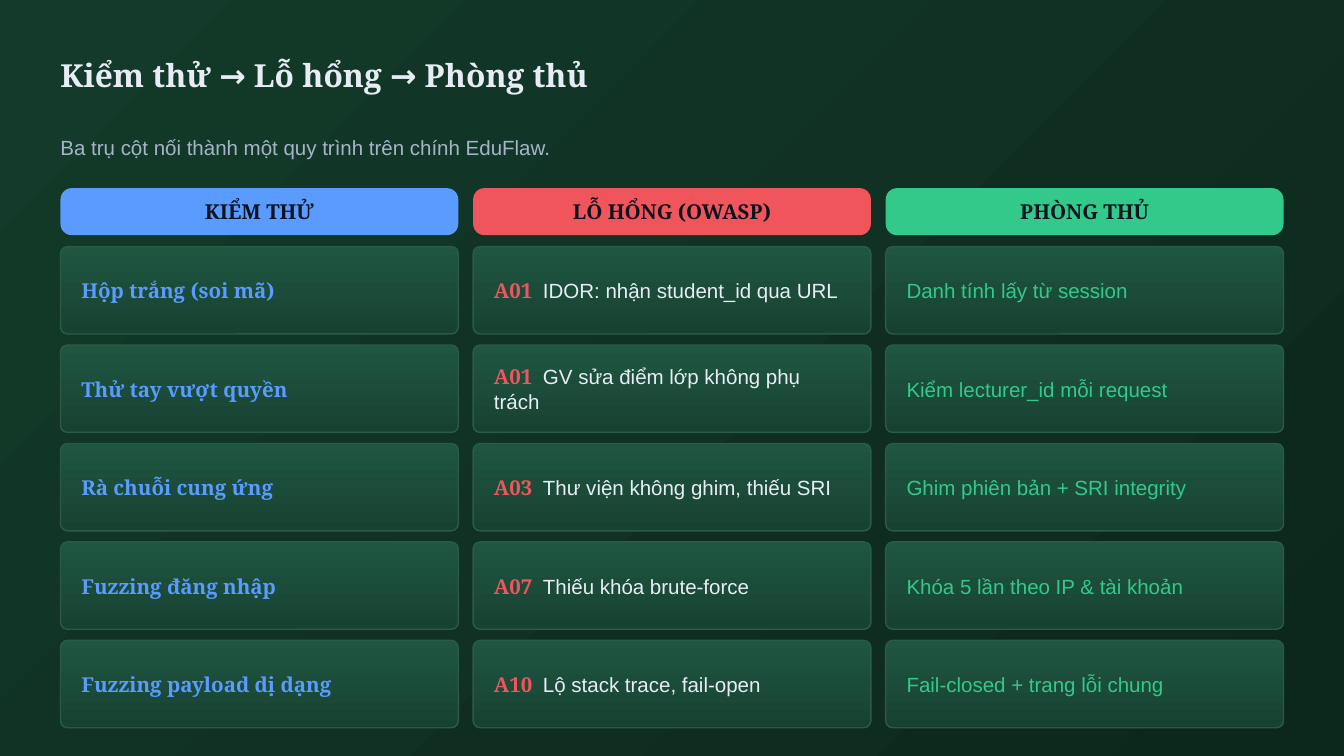
from dataclasses import dataclass
from typing import Any, Optional

from lxml.etree import SubElement
from pptx import Presentation
from pptx.dml.color import RGBColor
from pptx.dml.fill import FillFormat
from pptx.enum.shapes import MSO_SHAPE
from pptx.enum.text import MSO_ANCHOR, PP_ALIGN
from pptx.oxml.ns import qn
from pptx.slide import Slide
from pptx.util import Inches, Pt

COLORS = {
    "page_light": "133A2A",
    "page_dark": "0C271C",
    "card_light": "1F5641",
    "card_dark": "174232",
    "card_line": "2A5C44",
    "text": "E8EDF5",
    "muted": "A7B4C8",
    "ink": "0B1220",
    "blue": "5A9BFF",
    "red": "F0555B",
    "green": "33C98A",
}
SERIF = {"name": "Noto Serif", "size": Pt(22), "bold": True}
SANS = {"name": "Arial", "size": Pt(22), "bold": False}
TITLE = {**SERIF, "size": Pt(34)}

MARGIN = 0.9
COLUMN_WIDTH = 5.92
COLUMN_PITCH = 6.14
HEADER_TOP, HEADER_HEIGHT = 2.8, 0.7
FIRST_ROW_TOP, LAST_ROW_TOP, ROW_HEIGHT = 3.67, 9.53, 1.3
CELL_INDENT, CELL_TEXT_WIDTH = 0.31, 5.31
CODE_TAB = 0.73


@dataclass(frozen=True)
class Area:
    left: float
    top: float
    width: float
    height: float

    def lengths(self) -> list[int]:
        return [Inches(v) for v in (self.left, self.top, self.width, self.height)]


@dataclass(frozen=True)
class Span:
    text: str
    color: str
    style: dict[str, Any]


@dataclass(frozen=True)
class Column:
    heading: str
    color: str


@dataclass(frozen=True)
class Row:
    test: str
    code: str
    flaw: str
    defence: str


COLUMNS = [
    Column("KIỂM THỬ", "blue"),
    Column("LỖ HỔNG (OWASP)", "red"),
    Column("PHÒNG THỦ", "green"),
]
ROWS = [
    Row("Hộp trắng (soi mã)", "A01", "IDOR: nhận student_id qua URL", "Danh tính lấy từ session"),
    Row("Thử tay vượt quyền", "A01", "GV sửa điểm lớp không phụ trách", "Kiểm lecturer_id mỗi request"),
    Row("Rà chuỗi cung ứng", "A03", "Thư viện không ghim, thiếu SRI", "Ghim phiên bản + SRI integrity"),
    Row("Fuzzing đăng nhập", "A07", "Thiếu khóa brute-force", "Khóa 5 lần theo IP & tài khoản"),
    Row("Fuzzing payload dị dạng", "A10", "Lộ stack trace, fail-open", "Fail-closed + trang lỗi chung"),
]


def rgb(color: str) -> RGBColor:
    return RGBColor.from_string(COLORS[color])


def fill_gradient(fill: FillFormat, start: str, end: str, angle: int) -> None:
    fill.gradient()
    fill.gradient_angle = 360 - angle
    for stop, color in zip(fill.gradient_stops, (start, end)):
        stop.color.rgb = rgb(color)


def add_text(page: Slide, area: Area, spans: list[Span],
             anchor: MSO_ANCHOR = MSO_ANCHOR.MIDDLE,
             align: PP_ALIGN = PP_ALIGN.LEFT,
             spacing: Optional[float] = None, tab: Optional[float] = None) -> None:
    frame = page.shapes.add_textbox(*area.lengths()).text_frame
    frame_format = {"word_wrap": True, "vertical_anchor": anchor, "margin_left": 0,
                    "margin_top": 0, "margin_right": 0, "margin_bottom": 0}
    for name, value in frame_format.items():
        setattr(frame, name, value)
    para = frame.paragraphs[0]
    if tab:
        stops = SubElement(para._p.get_or_add_pPr(), qn("a:tabLst"))
        SubElement(stops, qn("a:tab"), pos=str(Inches(tab)), algn="l")
    para.alignment = align
    if spacing:
        para.line_spacing = Pt(spacing)
    for span in spans:
        run = para.add_run()
        run.text = span.text
        for name, value in span.style.items():
            setattr(run.font, name, value)
        run.font.color.rgb = rgb(span.color)


def add_panel(page: Slide, area: Area, rounding: float, color: Optional[str] = None) -> None:
    panel = page.shapes.add_shape(MSO_SHAPE.ROUNDED_RECTANGLE, *area.lengths())
    panel.shadow.inherit = False
    panel.adjustments[0] = rounding
    if color:
        panel.fill.solid()
        panel.fill.fore_color.rgb = rgb(color)
        panel.line.fill.background()
    else:
        fill_gradient(panel.fill, "card_light", "card_dark", 90)
        panel.line.color.rgb = rgb("card_line")
        panel.line.width = Pt(1.5)


def add_header(page: Slide, left: float, column: Column) -> None:
    area = Area(left, HEADER_TOP, COLUMN_WIDTH, HEADER_HEIGHT)
    add_panel(page, area, 0.24, column.color)
    add_text(page, area, [Span(column.heading, "ink", SERIF)], align=PP_ALIGN.CENTER)


def add_row(page: Slide, lefts: list[float], top: float, row: Row) -> None:
    cells = [
        [Span(row.test, "blue", SERIF)],
        [Span(row.code + "\t", "red", SERIF), Span(row.flaw, "text", SANS)],
        [Span(row.defence, "green", SANS)],
    ]
    for left, spans in zip(lefts, cells):
        add_panel(page, Area(left, top, COLUMN_WIDTH, ROW_HEIGHT), 0.08)
        add_text(page, Area(left + CELL_INDENT, top, CELL_TEXT_WIDTH, ROW_HEIGHT), spans,
                 spacing=27, tab=CODE_TAB if len(spans) > 1 else None)


def main() -> None:
    deck = Presentation()
    deck.slide_width, deck.slide_height = Inches(20), Inches(11.25)
    page = deck.slides.add_slide(deck.slide_layouts[6])
    fill_gradient(page.background.fill, "page_light", "page_dark", 45)

    add_text(page, Area(MARGIN, 0.83, 18.2, 1.09),
             [Span("Kiểm thử → Lỗ hổng → Phòng thủ", "text", TITLE)], MSO_ANCHOR.TOP)
    add_text(page, Area(MARGIN, 1.97, 18.2, 0.66),
             [Span("Ba trụ cột nối thành một quy trình trên chính EduFlaw.", "muted", SANS)],
             MSO_ANCHOR.TOP, spacing=29)

    lefts = [MARGIN + index * COLUMN_PITCH for index in range(len(COLUMNS))]
    for left, column in zip(lefts, COLUMNS):
        add_header(page, left, column)
    row_pitch = (LAST_ROW_TOP - FIRST_ROW_TOP) / (len(ROWS) - 1)
    for index, row in enumerate(ROWS):
        add_row(page, lefts, FIRST_ROW_TOP + index * row_pitch, row)

    deck.save("out.pptx")


if __name__ == "__main__":
    main()
